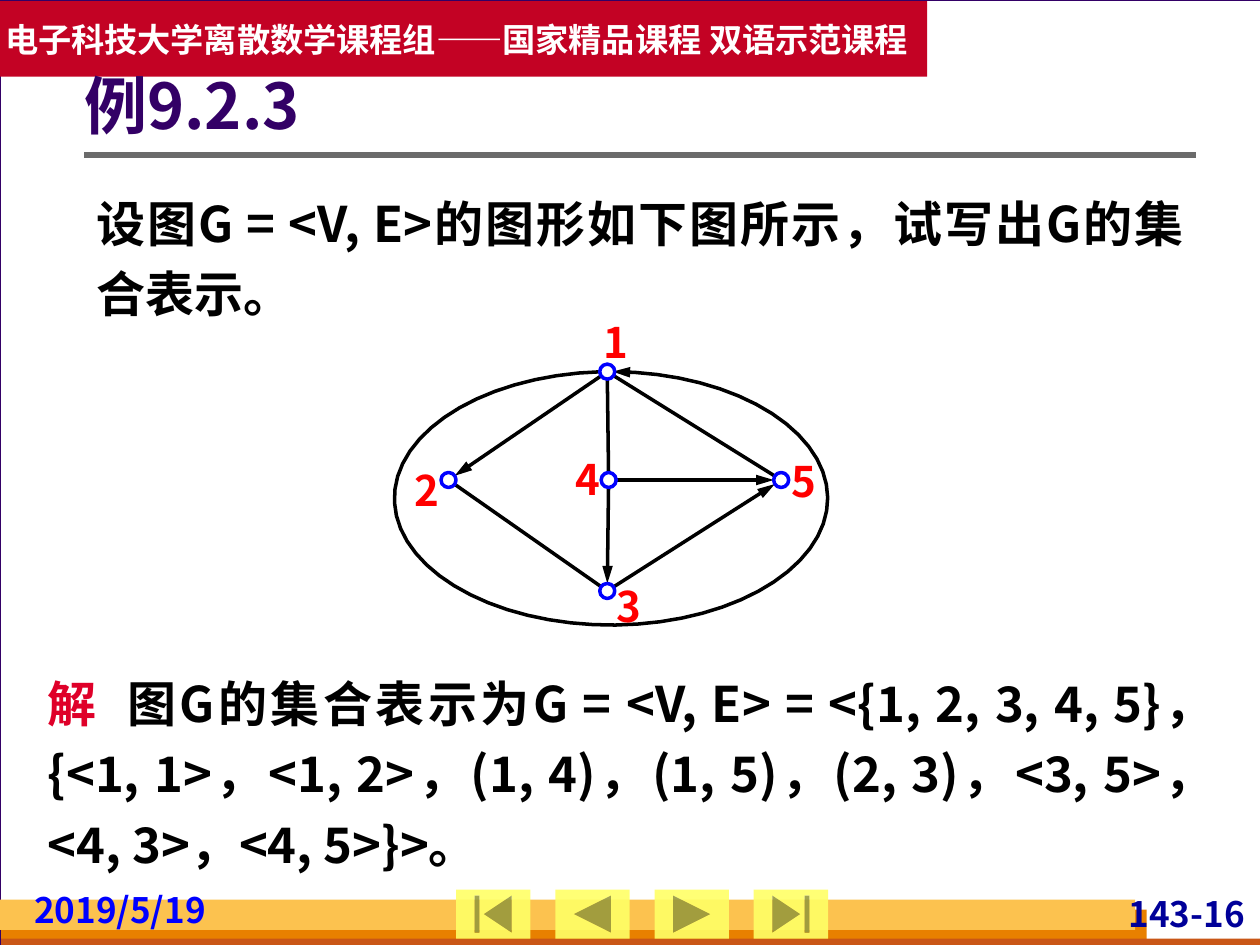
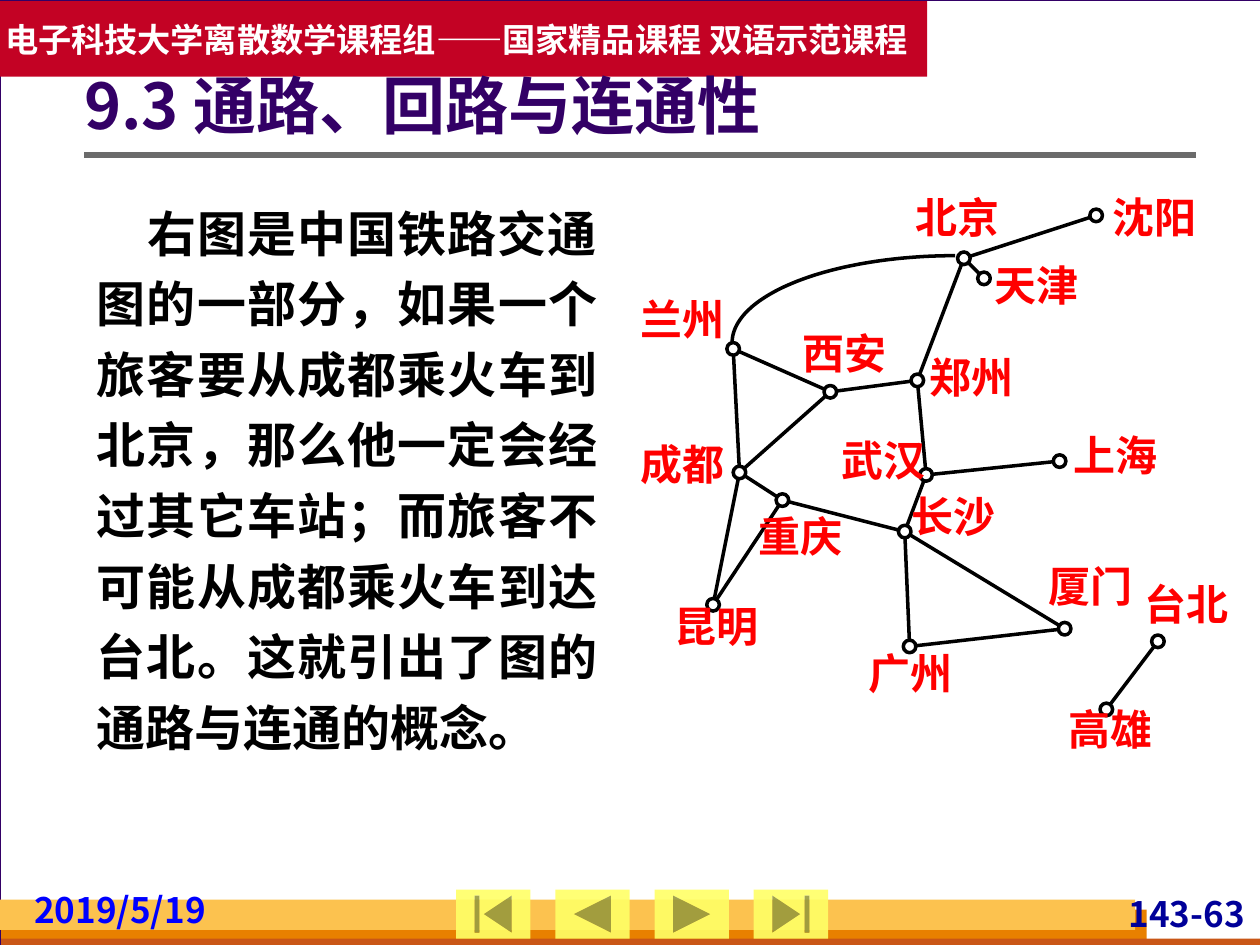
from dataclasses import dataclass
from math import cos, hypot, radians, sin

from lxml.etree import SubElement
from pptx import Presentation
from pptx.dml.color import RGBColor
from pptx.enum.shapes import MSO_CONNECTOR as Link, MSO_SHAPE as Form
from pptx.enum.text import MSO_ANCHOR as Anchor, PP_ALIGN as Align
from pptx.oxml.ns import qn
from pptx.util import Pt

FONT = "Noto Sans CJK SC"
HUES = {
    "back": "D8DADA", "white": "FFFFFF", "black": "000000", "title": "330066",
    "orange": "E88000", "rust": "C95616", "gold": "FCC24F", "rule": "6B6B6B",
    "button": "FFFF66", "banner": "C30224", "page": "000099", "blue": "0000FF",
    "label": "FF0000", "answer": "DF0029",
}


@dataclass(frozen=True)
class Box:
    x: float
    y: float
    w: float
    h: float


@dataclass(frozen=True)
class Run:
    text: str
    size: float
    hue: str


@dataclass(frozen=True)
class Para:
    runs: list[Run]
    align: Align = Align.LEFT
    space: float = 1.0
    indent: float = 0
    tab: float = 0


@dataclass(frozen=True)
class Band:
    box: Box
    fill: str
    line: str = ""


@dataclass(frozen=True)
class Node:
    name: str
    x: float
    y: float
    left: float
    top: float


@dataclass(frozen=True)
class Edge:
    start: str
    end: str
    arrow: bool = False


@dataclass(frozen=True)
class Style:
    radius: float
    ring: str
    width: float
    height: float
    align: Align


@dataclass(frozen=True)
class Curve:
    x: float
    y: float
    wide: float
    high: float
    start: float
    end: float
    arrow: bool = False


BANDS = [
    Band(Box(0, 0, 720.7, 540), "white", "title"),
    Band(Box(0.7, 519.8, 654.5, 20.2), "orange"),
    Band(Box(0.7, 536.4, 720, 5.8), "rust"),
    Band(Box(0, 514.1, 648.7, 17.3), "gold"),
]
BUTTONS = [
    Form.ACTION_BUTTON_BEGINNING, Form.ACTION_BUTTON_BACK_OR_PREVIOUS,
    Form.ACTION_BUTTON_FORWARD_OR_NEXT, Form.ACTION_BUTTON_END,
]
PAD = (7.2, 3.6, 7.2, 3.6)
SLIM = (2.9, 0, 2.9, 0)
NONE = (0, 0, 0, 0)

POINTS = [
    Node("1", 347, 212.4, 344.9, 180.7),
    Node("2", 256.3, 274.3, 236.9, 265.7),
    Node("3", 347, 337.7, 352.1, 331.9),
    Node("4", 347.8, 274.3, 328.8, 259.2),
    Node("5", 446.4, 274.3, 452.2, 260.6),
]
ARCS = [
    Edge("1", "5"), Edge("1", "4"), Edge("2", "3"), Edge("1", "2", True),
    Edge("4", "3", True), Edge("3", "5", True), Edge("4", "5", True),
]
CITIES = [
    Node("成都", 422.6, 270, 365.8, 250.6),
    Node("重庆", 447.1, 285.8, 433.4, 291.6),
    Node("郑州", 524.2, 217.4, 531.4, 200.9),
    Node("西安", 474.5, 223.9, 458.6, 187.2),
    Node("北京", 550.8, 147.6, 523.4, 109.4),
    Node("长沙", 517, 303.8, 520.6, 280.1),
    Node("上海", 605.5, 263.5, 613.4, 245.5),
    Node("天津", 562.3, 159.1, 568.1, 148.3),
    Node("沈阳", 626.4, 123.1, 635.8, 109.4),
    Node("兰州", 419, 199.4, 365.8, 167.8),
    Node("广州", 519.8, 369.4, 496.1, 370.1),
    Node("昆明", 407.5, 345.6, 385.2, 343.4),
    Node("武汉", 529.2, 271.4, 481, 248.4),
    Node("厦门", 608.4, 359.3, 599, 320.4),
    Node("高雄", 632.2, 405.4, 610.6, 401.8),
    Node("台北", 661.7, 366.5, 653.8, 330.5),
]
RAILS = [Edge(*pair.split("-")) for pair in (
    "兰州-西安 成都-重庆 成都-昆明 重庆-昆明 西安-成都 兰州-成都 "
    "重庆-长沙 长沙-广州 西安-郑州 郑州-武汉 武汉-长沙 武汉-上海 "
    "北京-郑州 北京-沈阳 北京-天津 长沙-厦门 厦门-广州 台北-高雄"
).split()]


def tint(hue: str) -> RGBColor:
    return RGBColor.from_string(HUES[hue])


def place(box: Box) -> tuple:
    return Pt(box.x), Pt(box.y), Pt(box.w), Pt(box.h)


def paint(shape, fill: str = "", line: str = "", width: float = 2) -> None:
    shape.shadow.inherit = False
    if fill:
        shape.fill.solid()
        shape.fill.fore_color.rgb = tint(fill)
    else:
        shape.fill.background()
    if line:
        shape.line.color.rgb = tint(line)
        shape.line.width = Pt(width)
    else:
        shape.line.fill.background()


def write(shape, para: Para, pad: tuple, anchor=Anchor.TOP, wrap: bool = True) -> None:
    frame = shape.text_frame
    frame.word_wrap = wrap
    frame.vertical_anchor = anchor
    (frame.margin_left, frame.margin_top,
     frame.margin_right, frame.margin_bottom) = map(Pt, pad)
    par = frame.paragraphs[0]
    par.alignment = para.align
    par.line_spacing = para.space
    props = par._p.get_or_add_pPr()
    if para.indent:
        props.set("indent", str(Pt(para.indent)))
    if para.tab:
        tabs = SubElement(props, qn("a:tabLst"))
        SubElement(tabs, qn("a:tab"), pos=str(Pt(para.tab)), algn="l")
    for part in para.runs:
        run = par.add_run()
        run.text = part.text
        run.font.size = Pt(part.size)
        run.font.bold = True
        run.font.color.rgb = tint(part.hue)
        run.font.name = FONT
        SubElement(run._r.get_or_add_rPr(), qn("a:ea"), typeface=FONT)


def label(slide, box: Box, para: Para, pad: tuple = PAD, anchor=Anchor.TOP) -> None:
    write(slide.shapes.add_textbox(*place(box)), para, pad, anchor)


def point(shape) -> None:
    SubElement(shape.line._get_or_add_ln(), qn("a:tailEnd"),
               type="triangle", w="med", len="lg")


def stroke(slide, ends: tuple, hue: str, width: float, arrow: bool = False) -> None:
    line = slide.shapes.add_connector(Link.STRAIGHT, *map(Pt, ends))
    line.line.color.rgb = tint(hue)
    line.line.width = Pt(width)
    if arrow:
        point(line)
    SubElement(line._element.spPr, qn("a:effectLst"))


def bend(slide, curve: Curve, steps: int = 60) -> None:
    turn = (curve.end - curve.start) / steps
    angles = [radians(curve.start + turn * i) for i in range(steps + 1)]
    dots = [(Pt(curve.x + curve.wide * cos(a)), Pt(curve.y + curve.high * sin(a)))
            for a in angles]
    pen = slide.shapes.build_freeform(*dots[0])
    pen.add_line_segments(dots[1:], close=False)
    shape = pen.convert_to_shape()
    paint(shape, line="black")
    if curve.arrow:
        point(shape)


def graph(slide, nodes: list[Node], edges: list[Edge], curve: Curve, style: Style) -> None:
    named = {node.name: node for node in nodes}
    rad = style.radius
    bend(slide, curve)
    for edge in edges:
        a, b = named[edge.start], named[edge.end]
        gap = hypot(b.x - a.x, b.y - a.y)
        dx, dy = (b.x - a.x) / gap * rad, (b.y - a.y) / gap * rad
        stroke(slide, (a.x + dx, a.y + dy, b.x - dx, b.y - dy), "black", 2, edge.arrow)
    for node in nodes:
        box = Box(node.x - rad, node.y - rad, 2 * rad, 2 * rad)
        paint(slide.shapes.add_shape(Form.OVAL, *place(box)), "white", style.ring)
    for node in nodes:
        box = Box(node.left, node.top, style.width, style.height)
        label(slide, box, Para([Run(node.name, 24, "label")], style.align), NONE)


def base(deck, title: str, page: str):
    slide = deck.slides.add_slide(deck.slide_layouts[6])
    slide.background.fill.solid()
    slide.background.fill.fore_color.rgb = tint("back")
    for band in BANDS:
        shape = slide.shapes.add_shape(Form.RECTANGLE, *place(band.box))
        paint(shape, band.fill, band.line, 0.75)
    label(slide, Box(626.4, 509.8, 87.8, 23.8),
          Para([Run(page, 20, "page")], Align.RIGHT), SLIM)
    stroke(slide, (48.2, 88.6, 683.3, 88.6), "rule", 3)
    for i, form in enumerate(BUTTONS):
        box = Box(260.6 + 56.7 * i, 508.3, 42.5, 28.1)
        shape = slide.shapes.add_shape(form, *place(box))
        paint(shape, "button")
        color = shape._element.spPr.find(qn("a:solidFill"))[0]
        SubElement(color, qn("a:alpha"), val="90000")
    banner = slide.shapes.add_shape(Form.RECTANGLE, *place(Box(0, 0.7, 529.9, 43.2)))
    paint(banner, "banner")
    motto = "电子科技大学离散数学课程组——国家精品课程 双语示范课程"
    write(banner, Para([Run(motto, 19, "white")]), (2.9, 3.6, 2.9, 3.6),
          Anchor.MIDDLE, False)
    label(slide, Box(16.6, 507.6, 118.8, 23.8), Para([Run("2019/5/19", 20, "blue")]), SLIM)
    label(slide, Box(48.2, 25.9, 635, 72.7), Para([Run(title, 36, "title")], space=0.9),
          (0, 3.6, 7.2, 3.6), Anchor.MIDDLE)
    return slide


def sets(deck) -> None:
    slide = base(deck, "例9.2.3", "143-16")
    task = "设图G = <V, E>的图形如下图所示，试写出G的集合表示。"
    label(slide, Box(48.2, 100.1, 635, 87.8),
          Para([Run(task, 28, "black")], Align.JUSTIFY, 1.2))
    graph(slide, POINTS, ARCS, Curve(349.2, 284.8, 123.8, 72.4, 267.3, -89.6, True),
          Style(4.3, "blue", 11.5, 28.8, Align.CENTER))
    reply = ("\t图G的集合表示为G = <V, E> = <{1, 2, 3, 4, 5}，{<1, 1>，<1, 2>，"
             "(1, 4)，(1, 5)，(2, 3)，<3, 5>，<4, 3>，<4, 5>}>。")
    label(slide, Box(20.2, 374.4, 680.4, 128.2),
          Para([Run("解", 28, "answer"), Run(reply, 28, "black")],
               Align.JUSTIFY, 1.2, tab=41.5))


def rails(deck) -> None:
    slide = base(deck, "9.3 通路、回路与连通性", "143-63")
    story = ("右图是中国铁路交通图的一部分，如果一个旅客要从成都乘火车到北京，"
             "那么他一定会经过其它车站；而旅客不可能从成都乘火车到达台北。"
             "这就引出了图的通路与连通的概念。")
    label(slide, Box(48.2, 105.8, 300.2, 330.5),
          Para([Run(story, 28, "black")], Align.JUSTIFY, 1.2, 29))
    graph(slide, CITIES, RAILS, Curve(545.8, 195.8, 127.4, 49.7, 270, 180),
          Style(3.6, "black", 49.7, 35.3, Align.JUSTIFY))


def main() -> None:
    deck = Presentation()
    deck.slide_width, deck.slide_height = Pt(720), Pt(540)
    sets(deck)
    rails(deck)
    deck.save("out.pptx")


if __name__ == "__main__":
    main()
